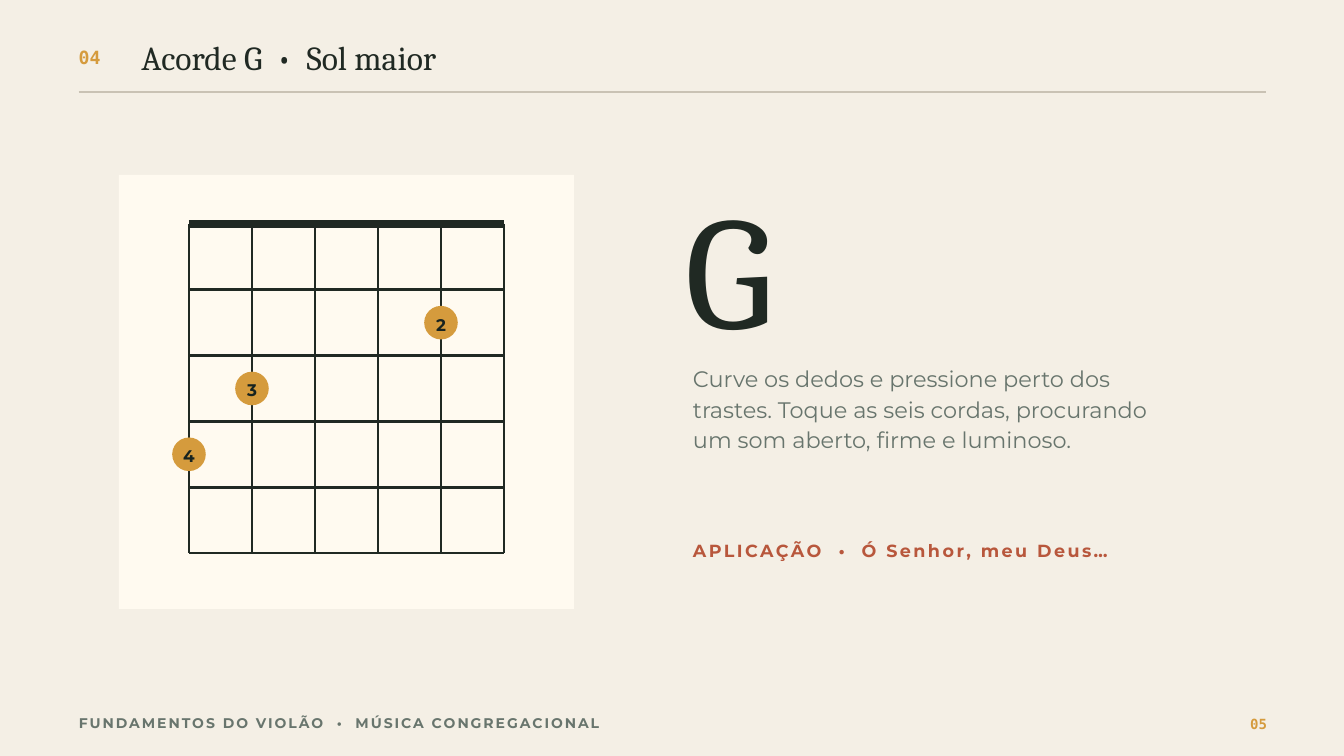
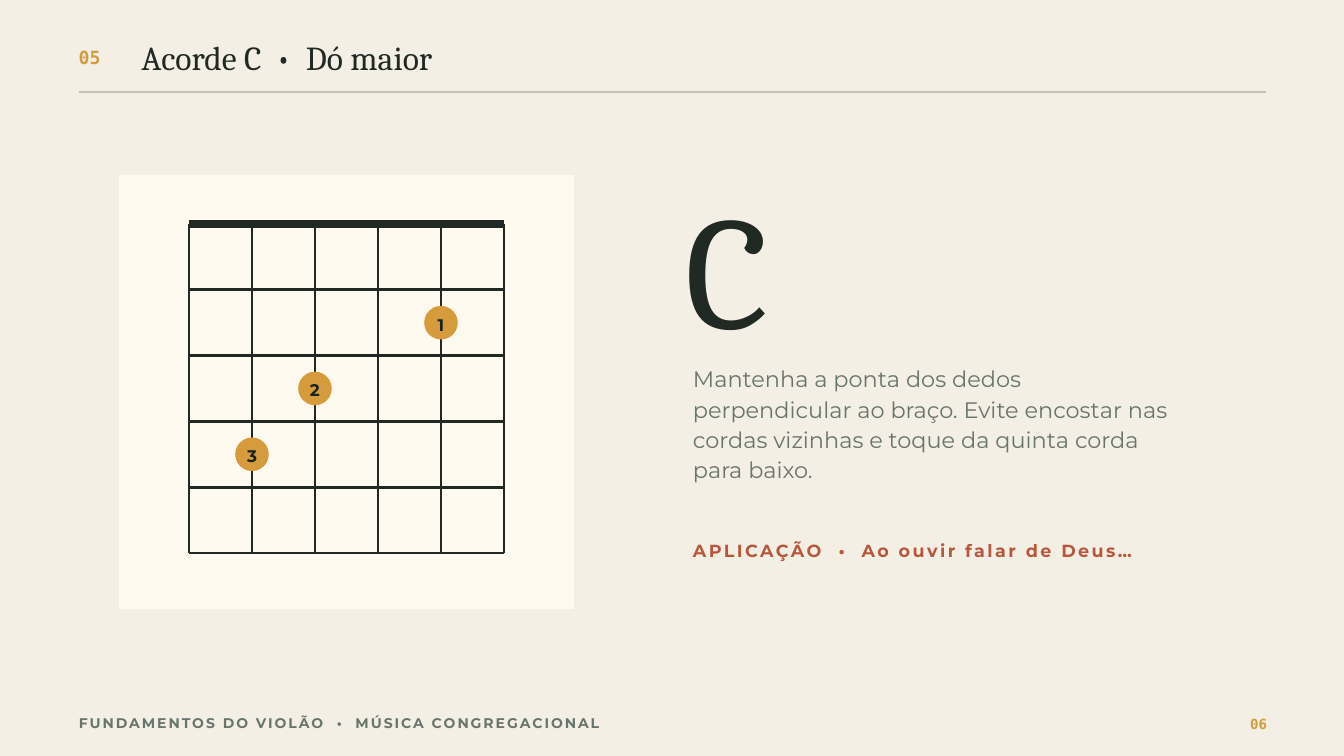
import pptx
import pptx.util
import pptx.dml.color
import pptx.enum.shapes
import pptx.enum.text
import pptx.oxml

SERIF, SANS, MONO = "Cambria", "Montserrat", "DejaVu Sans Mono"
SPACE_WIDTH = {SERIF: 0.22, SANS: 0.26}
PAPER, CARD, INK, DOT_INK = "F4EFE5", "FFFAF0", "202923", "17231F"
GOLD, MUTED, RUST, RULE = "D59B3D", "68756D", "B8573C", "C9C2B4"

COLS, ROWS = 192, 108
LEFT, RIGHT = 11.25, 180.8
STRING_X, STRING_GAP, STRINGS = 27, 9, 6
FRET_Y, FRET_GAP, FRETS = 32, 9.4, 5
DOT = 4.8

ALIGN = pptx.enum.text.PP_ALIGN
FOOTER = ("FUNDAMENTOS DO VIOLÃO", "MÚSICA CONGREGACIONAL")
CHORDS = [
    {
        "number": 4, "letter": "G", "name": "Sol maior",
        "tip": "Curve os dedos e pressione perto dos trastes. Toque as seis "
               "cordas, procurando um som aberto, firme e luminoso.",
        "song": "Ó Senhor, meu Deus…",
        "fingers": [("2", 4, 2), ("3", 1, 3), ("4", 0, 4)],
    },
    {
        "number": 5, "letter": "C", "name": "Dó maior",
        "tip": "Mantenha a ponta dos dedos perpendicular ao braço. Evite "
               "encostar nas cordas vizinhas e toque da quinta corda para baixo.",
        "song": "Ao ouvir falar de Deus…",
        "fingers": [("1", 4, 2), ("2", 2, 3), ("3", 1, 4)],
    },
]


def color(value):
    return pptx.dml.color.RGBColor.from_string(value)


class Deck:
    def __init__(self):
        self.prs = pptx.Presentation()
        self.prs.slide_width = pptx.util.Inches(20)
        self.prs.slide_height = pptx.util.Inches(11.25)
        fill = self.prs.slide_master.background.fill
        fill.solid()
        fill.fore_color.rgb = color(PAPER)
        self.slide = None

    def grid(self, x, y):
        return (round(x * self.prs.slide_width / COLS),
                round(y * self.prs.slide_height / ROWS))

    def new_slide(self):
        self.slide = self.prs.slides.add_slide(self.prs.slide_layouts[5])

    def set_text(self, sp, parts, font, size, ink, leading, bold=False,
                 track=0, align=ALIGN.LEFT, middle=False):
        tf = sp.text_frame
        tf.margin_left = tf.margin_right = tf.margin_top = tf.margin_bottom = 0
        tf.word_wrap = True
        anchor = pptx.enum.text.MSO_ANCHOR
        tf.vertical_anchor = anchor.MIDDLE if middle else anchor.TOP
        fit = pptx.enum.text.MSO_AUTO_SIZE
        tf.auto_size = fit.NONE if middle else fit.SHAPE_TO_FIT_TEXT
        p = tf.paragraphs[0]
        p.alignment = align
        p.line_spacing = pptx.util.Pt(leading)
        p.font.name, p.font.size = font, pptx.util.Pt(size)
        p.font.bold = bold
        p.font.color.rgb = color(ink)
        runs = [(parts[0], track)]
        for part in parts[1:]:
            gap = size * SPACE_WIDTH[font] + 2 * track
            runs += [(" •", gap), (" " + part, track)]
        for text, spacing in runs:
            r = p.add_run()
            r.text = text
            if spacing:
                r._r.get_or_add_rPr().set("spc", str(round(spacing * 100)))

    def text(self, x, y, w, h, parts, *style, **options):
        sp = self.slide.shapes.add_textbox(*self.grid(x, y), *self.grid(w, h))
        self.set_text(sp, parts, *style, **options)

    def title(self, x, y, w, h, parts, *style):
        sp = self.slide.shapes.title
        sp.left, sp.top = self.grid(x, y)
        sp.width, sp.height = self.grid(w, h)
        self.set_text(sp, parts, *style)

    def line(self, x1, y1, x2, y2, ink, width):
        sp = self.slide.shapes.add_connector(
            pptx.enum.shapes.MSO_CONNECTOR.STRAIGHT,
            *self.grid(x1, y1), *self.grid(x2, y2))
        sp.line.color.rgb = color(ink)
        sp.line.width = pptx.util.Pt(width)
        sp._element.spPr.append(pptx.oxml.parse_xml(
            '<a:effectLst xmlns:a='
            '"http://schemas.openxmlformats.org/drawingml/2006/main"/>'))

    def shape(self, kind, x, y, w, h, fill):
        sp = self.slide.shapes.add_shape(
            kind, *self.grid(x, y), *self.grid(w, h))
        sp.shadow.inherit = False
        sp.fill.solid()
        sp.fill.fore_color.rgb = color(fill)
        sp.line.fill.background()
        return sp

    def header(self, number, parts):
        self.text(LEFT, 6.15, 7, 3.4, [f"{number:02}"],
                  MONO, 19.5, GOLD, 27.3, bold=True)
        self.title(20.2, 6.05, 145, 5.2, parts, SERIF, 36, INK, 37.4)
        self.line(LEFT, 13.2, RIGHT, 13.2, RULE, 2)

    def footer(self, page):
        self.text(LEFT, 101.7, 90, 2.8, FOOTER,
                  SANS, 15, MUTED, 21, bold=True, track=2.1)
        self.text(174, 101.8, 7, 2.7, [f"{page:02}"],
                  MONO, 15, GOLD, 21, bold=True, align=ALIGN.RIGHT)

    def fretboard(self, fingers):
        kinds = pptx.enum.shapes.MSO_SHAPE
        self.shape(kinds.RECTANGLE, 17, 25, 65, 62, CARD)
        right = STRING_X + (STRINGS - 1) * STRING_GAP
        bottom = FRET_Y + FRETS * FRET_GAP
        for string in range(STRINGS):
            x = STRING_X + string * STRING_GAP
            self.line(x, FRET_Y, x, bottom, INK, 3)
        for fret in range(FRETS + 1):
            y = FRET_Y + fret * FRET_GAP
            self.line(STRING_X, y, right, y, INK, 3 if fret else 8)
        for finger, string, fret in fingers:
            x = STRING_X + string * STRING_GAP - DOT / 2
            y = FRET_Y + (fret - 0.5) * FRET_GAP - DOT / 2
            sp = self.shape(kinds.OVAL, x, y, DOT, DOT, GOLD)
            self.set_text(sp, [finger], SANS, 18, DOT_INK, 25.2, bold=True,
                          align=ALIGN.CENTER, middle=True)

    def chord(self, number, letter, name, tip, song, fingers):
        self.new_slide()
        self.header(number, [f"Acorde {letter}", name])
        self.fretboard(fingers)
        self.text(98, 27.75, 70, 24.9, [letter], SERIF, 172.5, INK, 179.4)
        self.text(99, 51.75, 68, 17, [tip], SANS, 24, MUTED, 32.4)
        self.text(99, 76.6, 68, 3.4, ["APLICAÇÃO", song],
                  SANS, 18.8, RUST, 26.2, bold=True, track=2.6)
        self.footer(number + 1)


def main():
    deck = Deck()
    for chord in CHORDS:
        deck.chord(**chord)
    deck.prs.save("out.pptx")


if __name__ == "__main__":
    main()
